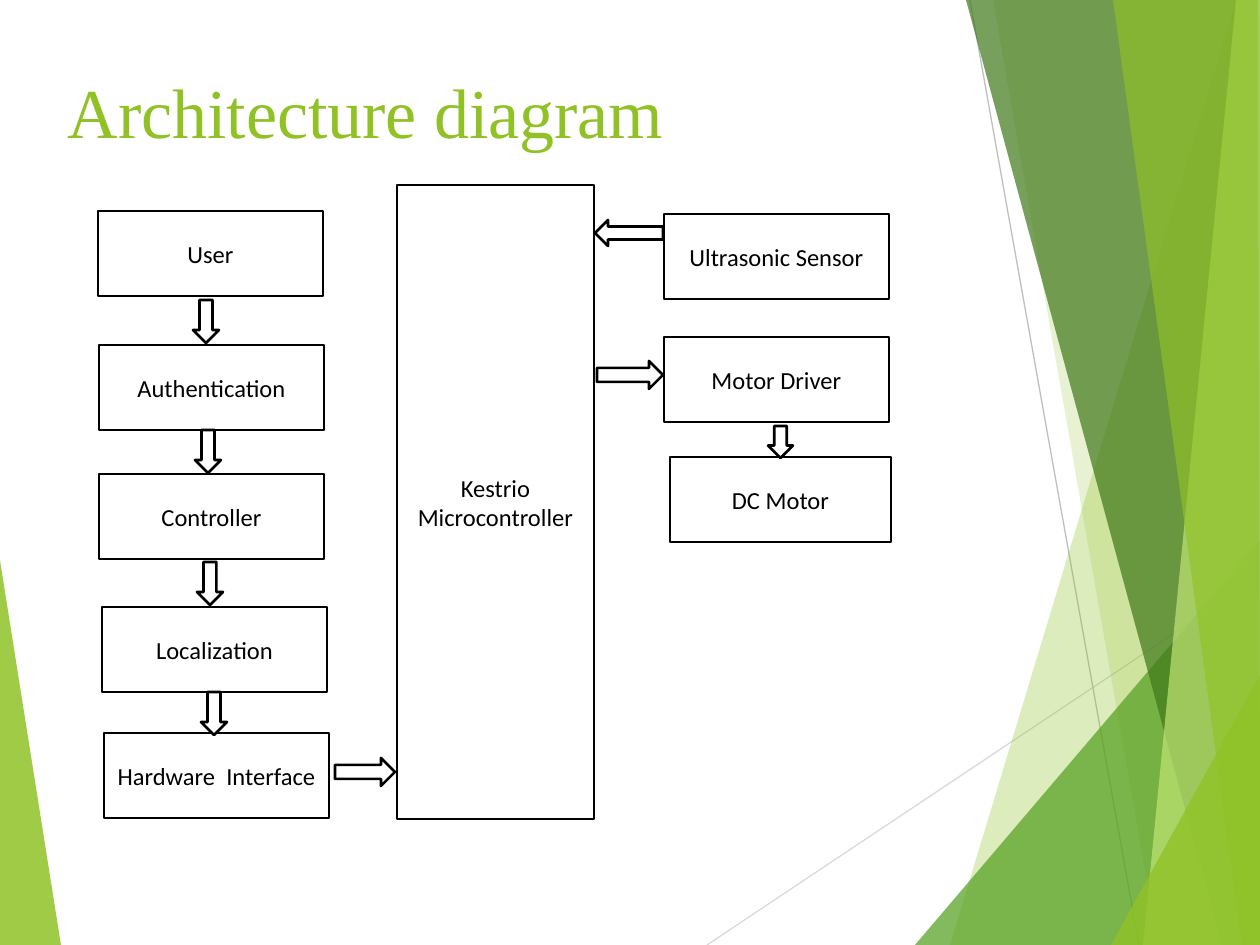
from lxml.etree import SubElement
from pptx import Presentation
from pptx.dml.color import RGBColor
from pptx.enum.shapes import MSO_CONNECTOR, MSO_SHAPE as SHAPE
from pptx.enum.text import MSO_ANCHOR as ANCHOR, PP_ALIGN as ALIGN
from pptx.oxml.ns import qn
from pptx.util import Emu, Pt

PX = 914400 / 126  # EMU in one px
W, H = 1260, 945
GREEN, BLACK, WHITE = "90C226", "000000", "FFFFFF"


def px(n):
    return Emu(round(n * PX))


def rgb(code):
    return RGBColor.from_string(code)


def add_run(p, text, size, font, color):
    r = p.add_run()
    r.text = text
    r.font.size, r.font.name = Pt(size), font
    r.font.color.rgb = rgb(color)


def add_facet(s, points, color, opacity):
    builder = s.shapes.build_freeform(*points[0], scale=PX)
    builder.add_line_segments(points[1:], close=True)
    sp = builder.convert_to_shape()
    sp.shadow.inherit = False
    sp.line.fill.background()
    sp.fill.solid()
    sp.fill.fore_color.rgb = rgb(color)
    clr = sp.fill._xPr.find(qn("a:solidFill"))[0]
    SubElement(clr, qn("a:alpha"), val=str(opacity * 1000))


def add_ray(s, start, end, color):
    line = s.shapes.add_connector(MSO_CONNECTOR.STRAIGHT, *map(px, start + end))
    line.line.color.rgb = rgb(color)
    line.line.width = Pt(0.75)
    SubElement(line._element.spPr, qn("a:effectLst"))


def add_backdrop(s, w, h):
    """Facets and rays along the left and right edges."""
    add_facet(s, [(0, 560), (61, h), (0, h)], GREEN, 85)
    add_ray(s, (707, h), (w, 576), "D9D9D9")
    add_ray(s, (970, 0), (1139, h), "BFBFBF")
    # Each right-hand facet: top-left x, bottom-left x, colour, opacity
    for top, bottom, color, opacity, y in [
        (1236, 950, GREEN, 30, 0),
        (993, 1158, GREEN, 20, 0),
        (w, 915, "54A021", 72, 540),
        (966, 1222, "3F7819", 70, 0),
        (1236, 1143, "C0E474", 70, 0),
        (1113, 1242, GREEN, 65, 0),
        (w, 1111, GREEN, 80, 675),
    ]:
        right = 1258 if top == 1113 else w
        add_facet(s, [(top, y), (bottom, h), (w, h), (right, y)], color, opacity)


def add_title(s, x, y, w, h):
    title = s.shapes.title
    title.left, title.top, title.width, title.height = map(px, (x, y, w, h))
    tf = title.text_frame
    tf.word_wrap = True
    tf.vertical_anchor = ANCHOR.TOP
    tf.margin_top = px(14)
    p = tf.paragraphs[0]
    p.alignment = ALIGN.LEFT
    add_run(p, "Architecture diagram", 40, "Times New Roman", GREEN)


def add_outlined(s, kind, x, y, w, h):
    sp = s.shapes.add_shape(kind, *map(px, (x, y, w, h)))
    sp.shadow.inherit = False
    sp.fill.solid()
    sp.fill.fore_color.rgb = rgb(WHITE)
    sp.line.color.rgb = rgb(BLACK)
    sp.line.width = Pt(1.5)
    return sp


def add_block(s, lines, x, y, w, h=85):
    tf = add_outlined(s, SHAPE.RECTANGLE, x, y, w, h).text_frame
    tf.word_wrap = True
    tf.vertical_anchor = ANCHOR.MIDDLE
    tf.margin_left = tf.margin_right = px(6)
    for i, text in enumerate(lines):
        p = tf.add_paragraph() if i else tf.paragraphs[0]
        p.alignment = ALIGN.CENTER
        add_run(p, text, 14, "Calibri", BLACK)


def add_control_chain(s, x, y):
    """Steps from the user down to the hardware, then on to the controller."""
    for text, dx, dy in [
        ("User", 0, 0),
        ("Authentication", 1, 134),
        ("Controller", 1, 263),
        ("Localization", 4, 396),
        ("Hardware  Interface", 6, 522),
    ]:
        add_block(s, [text], x + dx, y + dy, 225)
    for dx, dy in [(95, 89), (97, 219), (99, 351), (103, 481)]:
        add_outlined(s, SHAPE.DOWN_ARROW, x + dx, y + dy, 26, 43)
    add_outlined(s, SHAPE.RIGHT_ARROW, x + 237, y + 547, 60, 28)


def add_devices(s, x, y):
    """Sensor and motor blocks with their links to the controller."""
    add_block(s, ["Ultrasonic Sensor"], x, y, 225)
    add_block(s, ["Motor Driver"], x, y + 123, 225)
    add_block(s, ["DC Motor"], x + 6, y + 243, 221)
    add_outlined(s, SHAPE.RIGHT_ARROW, x - 67, y + 147, 66, 28)
    add_outlined(s, SHAPE.LEFT_ARROW, x - 69, y + 6, 68, 26)
    add_outlined(s, SHAPE.DOWN_ARROW, x + 104, y + 212, 25, 32)


def main():
    prs = Presentation()
    prs.slide_width, prs.slide_height = px(W), px(H)
    s = prs.slides.add_slide(prs.slide_layouts[5])
    add_backdrop(s, W, H)
    add_title(s, 55, 55, 912, 129)
    add_control_chain(s, 98, 211)
    add_block(s, ["Kestrio", "Microcontroller"], 397, 185, 197, 634)
    add_devices(s, 664, 214)
    prs.save("out.pptx")


if __name__ == "__main__":
    main()
